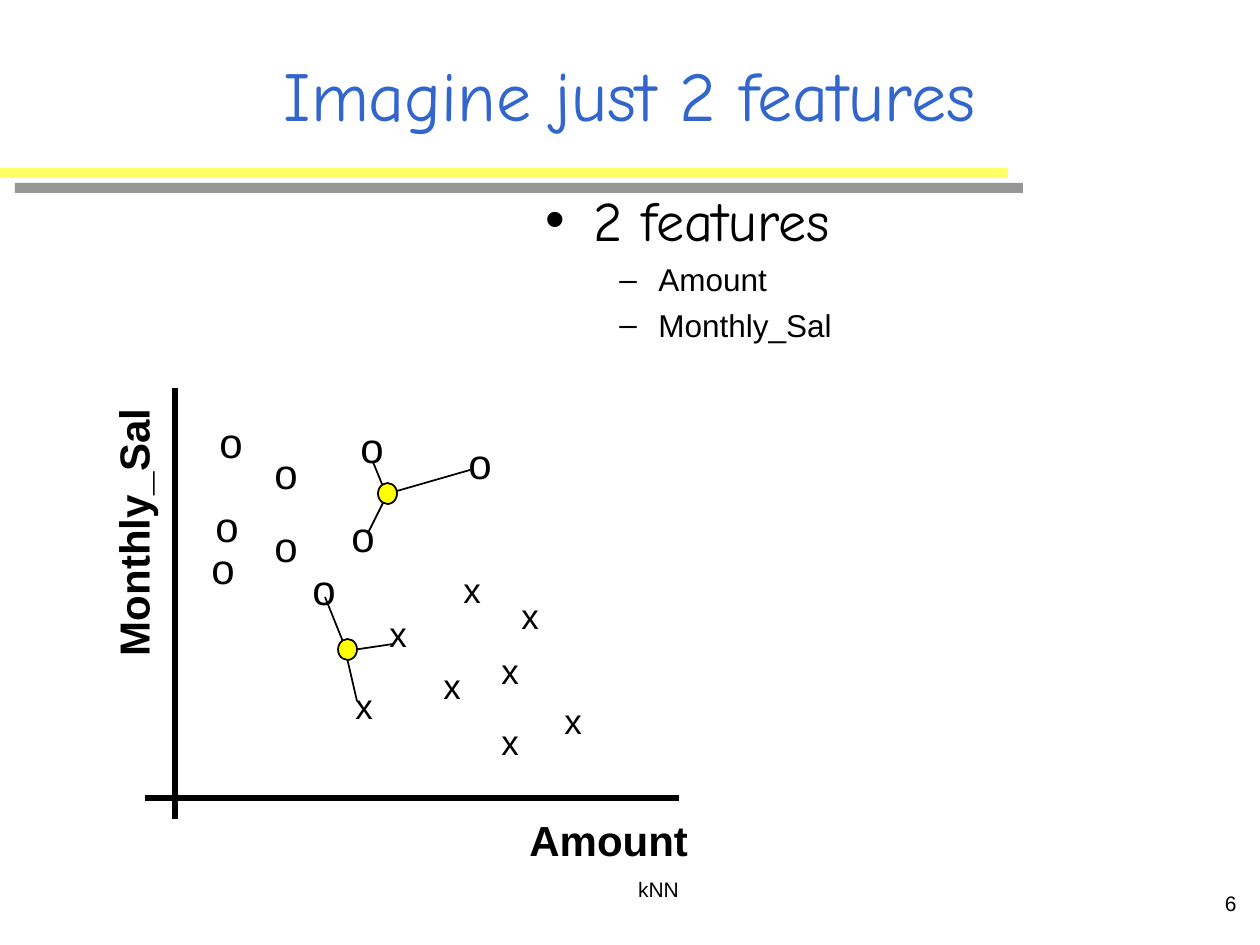
from lxml import etree
from pptx import Presentation, util as u
from pptx.dml.color import RGBColor
from pptx.enum import shapes, text
from pptx.oxml import ns

PX = u.Inches(1) / 126
BLACK = "000000"


def emu(*lengths):
    return [u.Emu(round(length * PX)) for length in lengths]


def add_text(words, at, size, font="Arial", color=BLACK, bold=False,
             align="LEFT", anchor="TOP", wrap=True):
    """Add a text box with one paragraph and return the box."""
    box = page.shapes.add_textbox(*emu(*at))
    frame = box.text_frame
    frame.word_wrap = wrap
    if not wrap:
        frame.auto_size = text.MSO_AUTO_SIZE.SHAPE_TO_FIT_TEXT
    frame.vertical_anchor = text.MSO_ANCHOR[anchor]
    para = frame.paragraphs[0]
    para.alignment = text.PP_ALIGN[align]
    span = para.add_run()
    span.text = words
    span.font.name, span.font.size, span.font.bold = font, u.Pt(size), bold
    span.font.color.rgb = RGBColor.from_string(color)
    return box


deck = Presentation()
deck.slide_width, deck.slide_height = emu(1260, 945)
page = deck.slides.add_slide(deck.slide_layouts[6])

# Title and the bar below it
bar = page.shapes.add_shape(shapes.MSO_SHAPE.RECTANGLE, *emu(0, 168, 1008, 10))
bar.fill.solid()
bar.fill.fore_color.rgb = RGBColor.from_string("FFFF66")
bar.line.fill.background()
bar.shadow.inherit = False
effects = bar._element.spPr.find(ns.qn("a:effectLst"))
shadow = etree.SubElement(effects, ns.qn("a:outerShdw"), dist=str(u.Pt(12.1)),
                          dir="2700000", algn="ctr", rotWithShape="0")
etree.SubElement(shadow, ns.qn("a:srgbClr"), val="969696")
add_text("Imagine just 2 features", (94, 31, 1071, 126), 40, "Comic Neue", "3366CC",
         align="CENTER", anchor="MIDDLE")

# Feature list: words, level, bullet, left margin, hanging indent, size, font, space before
features = [
    ("2 features", 0, "•", 48, 48, 32, "Comic Neue", 0),
    ("Amount", 1, "–", 113, 39, 18, "Arial", 4.5),
    ("Monthly_Sal", 1, "–", 113, 39, 18, "Arial", 4.5),
]
feature_box = page.shapes.add_textbox(*emu(533, 179, 683, 567))
feature_box.text_frame.word_wrap = True
for i, (words, level, bullet, margin, hang, size, font, before) in enumerate(features):
    frame = feature_box.text_frame
    para = frame.add_paragraph() if i else frame.paragraphs[0]
    para.level = level
    props = para._p.get_or_add_pPr()
    left, indent = emu(margin, -hang)
    props.set("marL", str(left))
    props.set("indent", str(indent))
    etree.SubElement(props, ns.qn("a:buFont"), typeface="Arial")
    etree.SubElement(props, ns.qn("a:buChar"), char=bullet)
    para.space_before = u.Pt(before)
    span = para.add_run()
    span.text = words
    span.font.name, span.font.size = font, u.Pt(size)
    span.font.color.rgb = RGBColor.from_string(BLACK)

# Scatter plot: classes o and x
o_points = [(203, 494), (207, 410), (262, 514), (339, 504), (262, 441),
            (348, 415), (199, 536), (300, 557), (456, 431)]
x_points = [(489, 643), (377, 606), (431, 658), (343, 678), (451, 562),
            (552, 693), (489, 714), (509, 588)]
for mark, size, extent, points in (("o", 24, (48, 63), o_points),
                                   ("x", 20, (43, 55), x_points)):
    for point in points:
        add_text(mark, point + extent, size, wrap=False)

add_text("Amount", (517, 808, 184, 63), 24, bold=True, wrap=False)
y_label = add_text("Monthly_Sal", (-7, 501, 280, 63), 24, bold=True, align="CENTER")
y_label.rotation = 270

# Axes, then links from each query point to its three nearest neighbours
axes = [(175, 388, 175, 819), (145, 798, 679, 798)]
links = [(382, 484, 373, 462), (384, 501, 368, 533), (397, 491, 470, 470),
         (346, 649, 325, 597), (346, 651, 393, 644), (345, 649, 357, 701)]
for width, ends in ((3, axes), (1, links)):
    for end in ends:
        line = page.shapes.add_connector(shapes.MSO_CONNECTOR.STRAIGHT, *emu(*end))
        line.line.width = u.Pt(width)
        line.line.color.rgb = RGBColor.from_string(BLACK)
        etree.SubElement(line._element.spPr, ns.qn("a:effectLst"))

for left, top in ((338, 639), (378, 483)):
    query = page.shapes.add_shape(shapes.MSO_SHAPE.OVAL, *emu(left, top, 19, 21))
    query.fill.solid()
    query.fill.fore_color.rgb = RGBColor.from_string("FFFF00")
    query.line.color.rgb = RGBColor.from_string(BLACK)
    query.line.width = u.Pt(1)
    query.shadow.inherit = False

# Footer
add_text("kNN", (459, 858, 399, 63), 12, align="CENTER", anchor="MIDDLE")
add_text("6", (987, 872, 262, 63), 12, align="RIGHT", anchor="MIDDLE")

deck.save("out.pptx")
